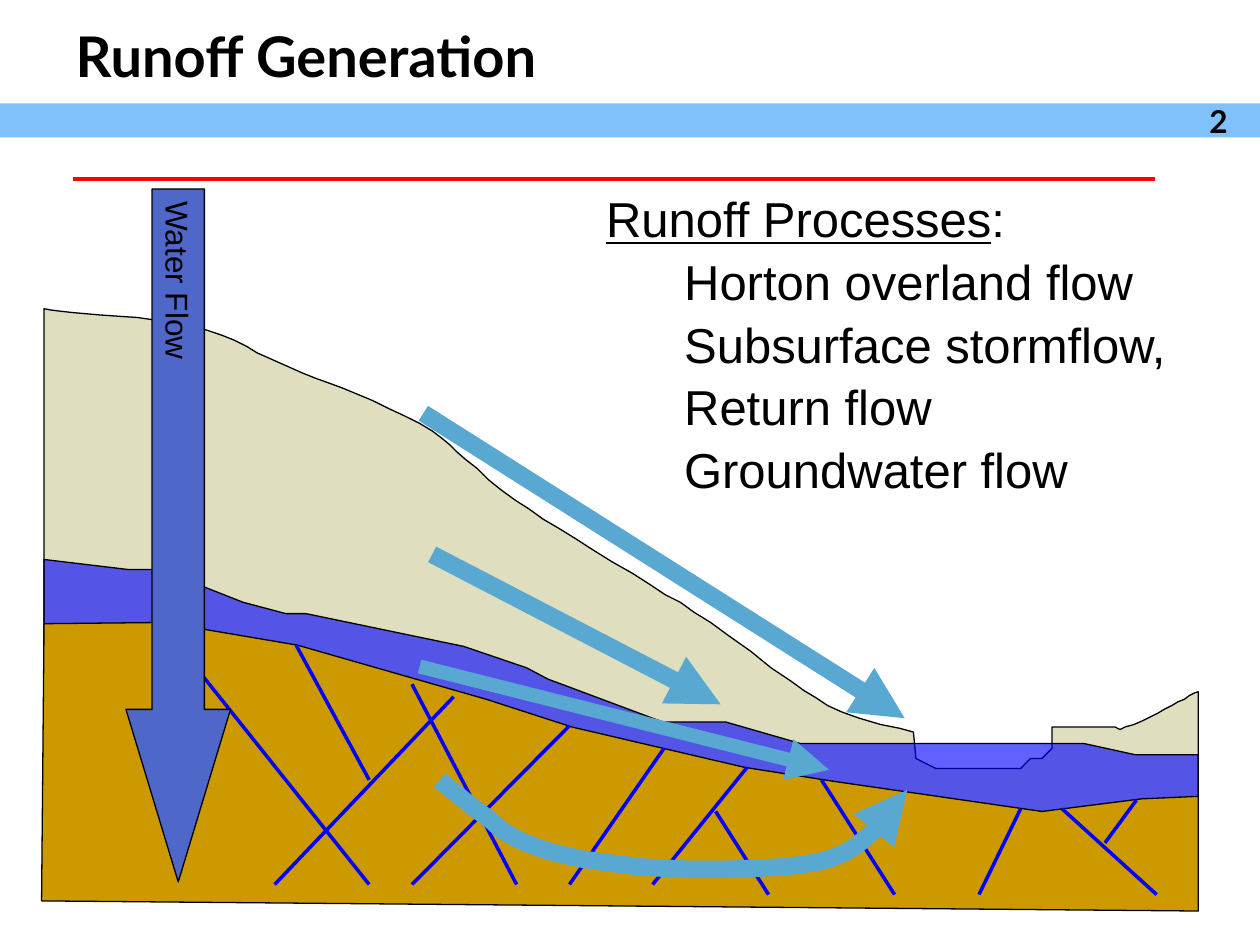
from itertools import pairwise

from lxml import etree
from pptx import Presentation
from pptx.dml.color import RGBColor
from pptx.enum.shapes import MSO_CONNECTOR, MSO_SHAPE
from pptx.enum.text import MSO_ANCHOR, MSO_AUTO_SIZE, PP_ALIGN
from pptx.oxml.ns import qn
from pptx.util import Pt

PX = 9144
WIDTH, HEIGHT = 1000, 750
STRAIGHT = MSO_CONNECTOR.STRAIGHT
RECTANGLE, DOWN_ARROW = MSO_SHAPE.RECTANGLE, MSO_SHAPE.DOWN_ARROW
LEFT, CENTER = PP_ALIGN.LEFT, PP_ALIGN.CENTER
TOP, MIDDLE = MSO_ANCHOR.TOP, MSO_ANCHOR.MIDDLE
NO_AUTOFIT = MSO_AUTO_SIZE.NONE

BLACK = RGBColor(0x00, 0x00, 0x00)
BAND_BLUE = RGBColor(0x81, 0xC1, 0xFB)
SOIL = RGBColor(0xDF, 0xDF, 0xBF)
WATER = RGBColor(0x00, 0x00, 0xFF)
BEDROCK = RGBColor(0xCC, 0x99, 0x00)
RAIN = RGBColor(0x4E, 0x67, 0xC8)
FLOW = RGBColor(0x59, 0xA8, 0xD1)
RED = RGBColor(0xFF, 0x00, 0x00)

WEST, EAST = 35, 951
BANK_TOP, LEDGE, STREAM_BED = 577, 602, 610
SHALLOW, DEEP = 702, 710

HILLSLOPE = [
    (WEST, 245), (68, 249), (123, 254), (176, 266), (213, 284), (250, 300),
    (296, 318), (343, 342), (370, 365), (409, 397), (456, 427), (516, 464),
    (564, 494), (627, 540), (668, 565), (725, 581),
]
STREAM_CHANNEL = [
    (727, LEDGE), (743, STREAM_BED), (810, STREAM_BED), (818, LEDGE),
    (827, LEDGE), (835, 594), (835, BANK_TOP), (885, BANK_TOP),
]
FAR_BANK = [(889, 579), (913, 569), (935, 557), (EAST, 549)]
WATER_TABLE = [
    (WEST, 444), (102, 452), (127, 452), (193, 478), (227, 487), (243, 487),
    (368, 513), (418, 530), (435, 539), (526, 573), (576, 573), (635, 590),
    (860, 590), (901, 599), (EAST, 599),
]
ROCK_SURFACE = [
    (WEST, 495), (130, 494), (236, 512), (386, 555), (454, 577), (591, 609),
    (661, 620), (827, 644), (906, 634), (EAST, 632),
]
SOIL_BASE = [(EAST, 710), (WEST, 702)]
WATER_BASE = [(EAST, 651), (618, 685), (WEST, 616)]
ROCK_BASE = [(EAST, 723), (33, 715)]

FRACTURES_BY_DEPTH_BELOW_ROCK = {
    0: [
        (235, 293, 619), (127, 293, SHALLOW), (452, 327, SHALLOW),
        (527, 452, SHALLOW), (593, 518, SHALLOW), (652, 710, DEEP),
        (810, 777, DEEP), (902, 877, 669), (843, 918, DEEP),
    ],
    5: [(360, 218, SHALLOW), (327, 410, SHALLOW)],
    40: [(568, 610, DEEP)],
}
OVERLAND_FLOW = ((336, 328), (718, 570), 10)
SUBSURFACE_STORMFLOW = ((343, 440), (572, 559), 10)
RETURN_FLOW = ((333, 529), (658, 611), 8)
GROUNDWATER_FLOW = [
    (349, 619), (387, 649), (415, 668), (463, 682), (526, 689), (622, 688),
    (670, 677), (703, 650), (720, 627),
]
PROCESSES = [
    "Horton overland flow", "Subsurface stormflow,", "Return flow", "Groundwater flow",
]


def smooth(points, steps=4):
    padded = [points[0]] + points + [points[-1]]
    curve = []
    for a, b, c, d in zip(padded, padded[1:], padded[2:], padded[3:]):
        for t in (i / steps for i in range(steps)):
            curve.append(tuple(
                round(q + t * (r - p) / 2 + t**2 * (2 * p - 5 * q + 4 * r - s) / 2
                      + t**3 * (3 * q - p - 3 * r + s) / 2)
                for p, q, r, s in zip(a, b, c, d)
            ))
    return curve + [points[-1]]


def height_at(x, profile):
    for (x0, y0), (x1, y1) in pairwise(profile):
        if x0 <= x <= x1:
            return round(y0 + (y1 - y0) * (x - x0) / (x1 - x0))


class SlideBuilder:
    def __init__(self, slide):
        self.slide = slide
        self.shapes = slide.shapes

    def place(self, sp, x, y, w, h):
        sp.left, sp.top, sp.width, sp.height = (v * PX for v in (x, y, w, h))

    def font(self, p, name, size, bold=False):
        for r in p.runs:
            r.font.name, r.font.size, r.font.bold = name, Pt(size), bold
            r.font.color.rgb = BLACK

    def stroke(self, sp, color, width, arrow=False):
        sp.line.color.rgb = color
        sp.line.width = Pt(width)
        if arrow:
            ln = sp._element.spPr.find(qn("a:ln"))
            etree.SubElement(ln, qn("a:tailEnd"), type="triangle")

    def shape(self, kind, x, y, w, h, fill):
        sp = self.shapes.add_shape(kind, x * PX, y * PX, w * PX, h * PX)
        sp.shadow.inherit = False
        sp.fill.solid()
        sp.fill.fore_color.rgb = fill
        sp.line.fill.background()
        return sp

    def freeform(self, points, closed):
        builder = self.shapes.build_freeform(*points[0], scale=PX)
        builder.add_line_segments(points[1:], close=closed)
        sp = builder.convert_to_shape()
        sp.shadow.inherit = False
        return sp

    def layer(self, surface, base, fill, opacity=100):
        sp = self.freeform(surface + base, closed=True)
        sp.fill.solid()
        sp.fill.fore_color.rgb = fill
        if opacity < 100:
            color = sp._element.spPr.find(qn("a:solidFill"))[0]
            etree.SubElement(color, qn("a:alpha"), val=str(opacity * 1000))
        self.stroke(sp, BLACK, 0.75)

    def curved_arrow(self, points, color, width):
        sp = self.freeform(smooth(points), closed=False)
        sp.fill.background()
        self.stroke(sp, color, width, arrow=True)

    def line(self, start, end, color, width, arrow=False):
        sp = self.shapes.add_connector(STRAIGHT, *(v * PX for v in start + end))
        self.stroke(sp, color, width, arrow)
        etree.SubElement(sp._element.spPr, qn("a:effectLst"))

    def down_arrow(self, text, x, y, w, h):
        sp = self.shape(DOWN_ARROW, x, y, w, h, RAIN)
        sp.adjustments[0], sp.adjustments[1] = 0.5, 1.65
        self.stroke(sp, BLACK, 0.75)
        tf = sp.text_frame
        tf.text = text
        tf.word_wrap = False
        tf.vertical_anchor = MIDDLE
        tf._txBody.bodyPr.set("vert", "eaVert")
        tf.paragraphs[0].alignment = CENTER
        self.font(tf.paragraphs[0], "Arial", 18)

    def title(self, text, x, y, w, h):
        sp = self.shapes.title
        self.place(sp, x, y, w, h)
        tf = sp.text_frame
        tf.text = text
        tf.auto_size = NO_AUTOFIT
        tf.vertical_anchor = TOP
        tf.paragraphs[0].alignment = LEFT
        self.font(tf.paragraphs[0], "Lato", 32, bold=True)

    def body(self, heading, items, x, y, w, h):
        sp = self.slide.placeholders[1]
        self.place(sp, x, y, w, h)
        tf = sp.text_frame
        tf.text = "\n".join([heading] + items)
        tf.auto_size = NO_AUTOFIT
        tf.paragraphs[0].add_run().text = ":"
        for i, p in enumerate(tf.paragraphs):
            p.level = 1 if i else 0
            margin, indent = (125, -25) if i else (38, 0)
            pPr = p._p.get_or_add_pPr()
            pPr.set("marL", str(margin * PX))
            pPr.set("indent", str(indent * PX))
            etree.SubElement(pPr, qn("a:buNone"))
            p.line_spacing = 0.9
            p.space_before = Pt(5.6 if i else 0)
            self.font(p, "Arial", 28)
        tf.paragraphs[0].runs[0].font.underline = True

    def text(self, text, x, y, w, h):
        sp = self.shapes.add_textbox(x * PX, y * PX, w * PX, h * PX)
        tf = sp.text_frame
        tf.word_wrap = True
        tf.text = text
        self.font(tf.paragraphs[0], "Lato", 18, bold=True)


def main():
    prs = Presentation()
    prs.slide_width, prs.slide_height = WIDTH * PX, HEIGHT * PX
    s = SlideBuilder(prs.slides.add_slide(prs.slide_layouts[1]))
    s.title("Runoff Generation", 50, 12, 900, 70)
    s.body("Runoff Processes", PROCESSES, 433, 150, 575, 325)
    s.shape(RECTANGLE, 0, 82, WIDTH, 27, BAND_BLUE)

    ground = smooth(HILLSLOPE) + STREAM_CHANNEL + smooth(FAR_BANK)
    s.layer(ground, SOIL_BASE, SOIL)
    s.layer(WATER_TABLE, WATER_BASE, WATER, opacity=62)
    s.layer(ROCK_SURFACE, ROCK_BASE, BEDROCK)
    for depth, fractures in FRACTURES_BY_DEPTH_BELOW_ROCK.items():
        for top_x, bottom_x, bottom_y in fractures:
            top_y = height_at(top_x, ROCK_SURFACE) + depth
            s.line((top_x, top_y), (bottom_x, bottom_y), WATER, 2)

    s.down_arrow("Water Flow", 100, 150, 83, 550)
    for start, end, width in (OVERLAND_FLOW, SUBSURFACE_STORMFLOW, RETURN_FLOW):
        s.line(start, end, FLOW, width, arrow=True)
    s.curved_arrow(GROUNDWATER_FLOW, FLOW, 10)

    s.line((58, 142), (917, 142), RED, 2)
    s.text("2", 950, 76, 43, 40)
    prs.save("out.pptx")


if __name__ == "__main__":
    main()
